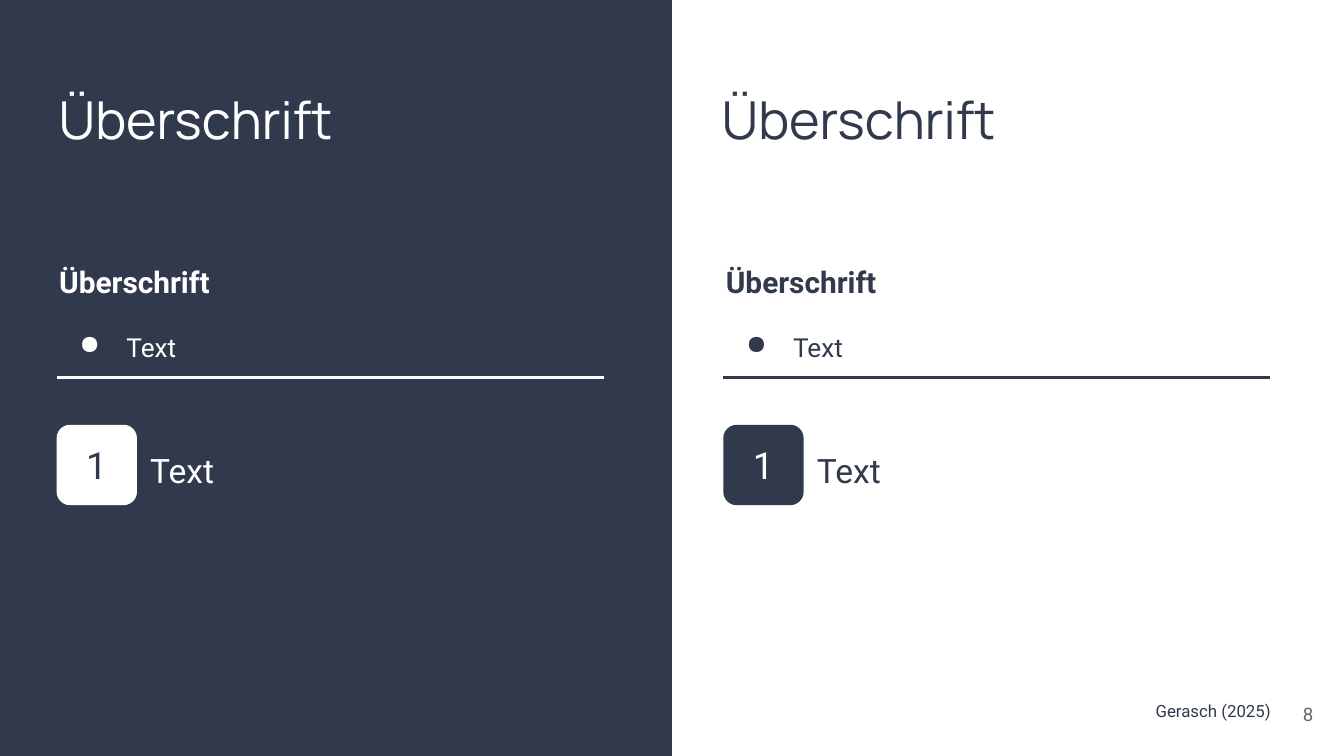
import pptx
import pptx.dml.color
import pptx.enum.shapes
import pptx.enum.text
import pptx.oxml.ns
import pptx.util
from lxml import etree

Cm = pptx.util.Cm
RGBColor = pptx.dml.color.RGBColor
SHAPE = pptx.enum.shapes.MSO_SHAPE
ALIGN = pptx.enum.text.PP_ALIGN
ANCHOR = pptx.enum.text.MSO_ANCHOR
qn = pptx.oxml.ns.qn

NAVY = RGBColor(0x31, 0x39, 0x4D)
WHITE = RGBColor(0xFF, 0xFF, 0xFF)
GREY = RGBColor(0x66, 0x66, 0x66)

WIDTH, HEIGHT = 25.4, 14.29
INSET = 0.25


def write(frame, text, size, color, font="Roboto", bold=False, align=ALIGN.LEFT,
          anchor=ANCHOR.TOP, spacing=None, bullet=None):
    """Fill the first paragraph of a frame, or append one if it is in use."""
    frame.word_wrap = True
    frame.vertical_anchor = anchor
    frame.margin_left = frame.margin_right = Cm(INSET)
    frame.margin_top = frame.margin_bottom = Cm(INSET)
    paragraph = frame.add_paragraph() if frame.text else frame.paragraphs[0]
    paragraph.alignment = align
    if spacing:
        paragraph.line_spacing = spacing
    if bullet:
        properties = paragraph._p.get_or_add_pPr()
        properties.set("marL", str(Cm(1.27)))
        properties.set("indent", str(Cm(-0.89)))
        bullet_color = etree.SubElement(properties, qn("a:buClr"))
        etree.SubElement(bullet_color, qn("a:srgbClr"), val=str(color))
        etree.SubElement(properties, qn("a:buChar"), char=bullet)
    run = paragraph.add_run()
    run.text = text
    run.font.name = font
    run.font.size = pptx.util.Pt(size)
    run.font.bold = bold
    run.font.color.rgb = color


def add_frame(slide, left, top, width, height):
    return slide.shapes.add_textbox(Cm(left), Cm(top), Cm(width), Cm(height)).text_frame


def add_filled(slide, kind, left, top, width, height, color):
    shape = slide.shapes.add_shape(kind, Cm(left), Cm(top), Cm(width), Cm(height))
    shape.shadow.inherit = False
    shape.fill.solid()
    shape.fill.fore_color.rgb = color
    shape.line.fill.background()
    return shape


def add_rule(slide, left, top, width, color):
    rule = slide.shapes.add_connector(pptx.enum.shapes.MSO_CONNECTOR.STRAIGHT,
                                      Cm(left), Cm(top), Cm(left + width), Cm(top))
    rule.line.color.rgb = color
    rule.line.width = pptx.util.Pt(1.5)
    etree.SubElement(rule._element.spPr, qn("a:effectLst"))


def add_column(slide, left, title_left, ink, paper):
    """Heading, bullet list, rule and numbered item in one column."""
    # Heading
    heading = add_frame(slide, title_left, 1.4, 11.3, 1.9)
    write(heading, "Überschrift", 28, ink, font="Manrope")

    # Subheading with bullet
    points = add_frame(slide, left - 0.2, 4.06, 10.74, 2.67)
    write(points, "Überschrift", 16, ink, bold=True, spacing=2.0)
    write(points, "Text", 14, ink, spacing=2.0, bullet="●")

    # Rule
    add_rule(slide, left, 7.14, 10.34, ink)

    # Numbered item
    badge_size = 1.52
    badge = add_filled(slide, SHAPE.ROUNDED_RECTANGLE, left, 8.03,
                       badge_size, badge_size, ink)
    write(badge.text_frame, "1", 20, paper, align=ALIGN.CENTER, anchor=ANCHOR.MIDDLE)
    item = add_frame(slide, left + badge_size, 8.26, 5.41, 1.09)
    write(item, "Text", 18, ink)


def add_footer(slide, left, top):
    """Citation and page number."""
    citation = add_frame(slide, left, top + 0.1, 2.72, 0.89)
    write(citation, "Gerasch (2025)", 9, NAVY)
    page_number = add_frame(slide, left + 1.96, top, 1.52, 1.09)
    write(page_number, "8", 10, GREY, align=ALIGN.RIGHT, anchor=ANCHOR.MIDDLE)


def main():
    presentation = pptx.Presentation()
    presentation.slide_width, presentation.slide_height = Cm(WIDTH), Cm(HEIGHT)
    slide = presentation.slides.add_slide(presentation.slide_layouts[6])

    # Dark left half
    add_filled(slide, SHAPE.RECTANGLE, 0, 0, WIDTH / 2, HEIGHT, NAVY)

    add_column(slide, 1.07, 0.86, ink=WHITE, paper=NAVY)
    add_column(slide, 13.67, 13.39, ink=NAVY, paper=WHITE)
    add_footer(slide, 21.59, 12.95)
    presentation.save("out.pptx")


if __name__ == "__main__":
    main()
